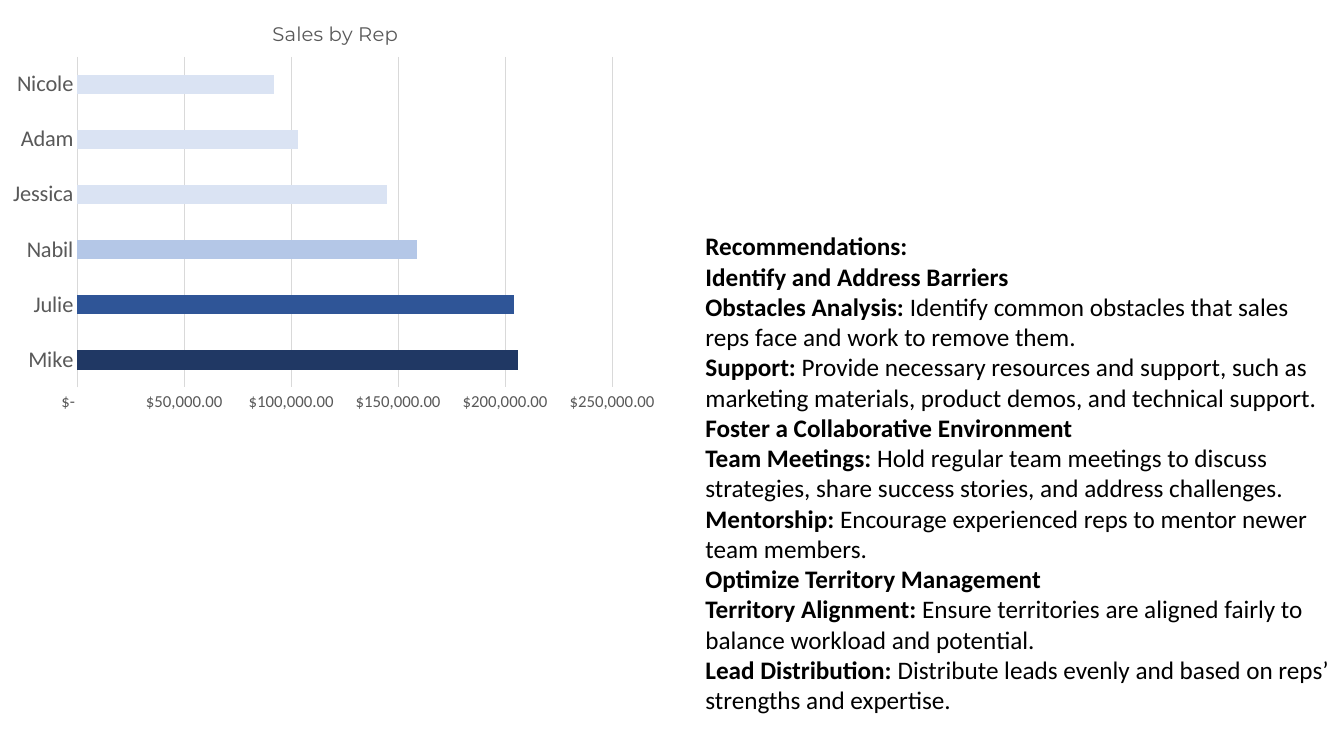
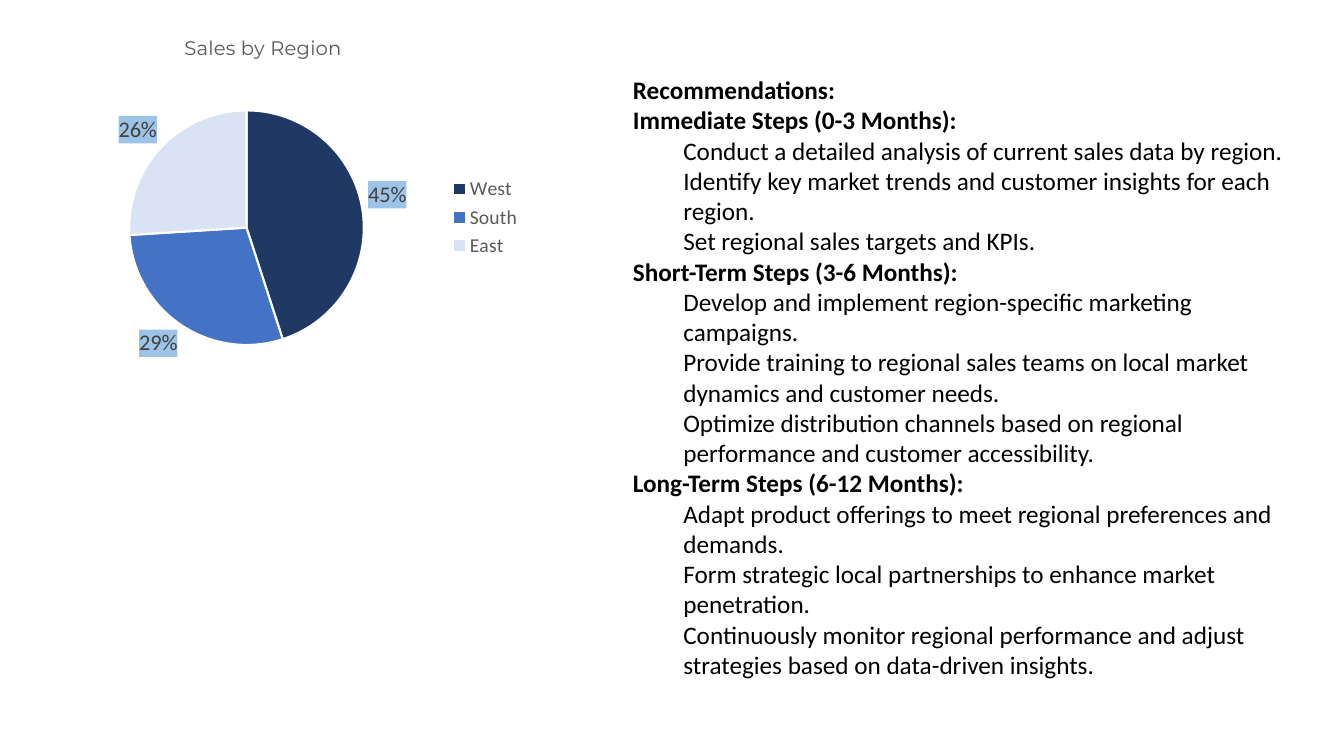
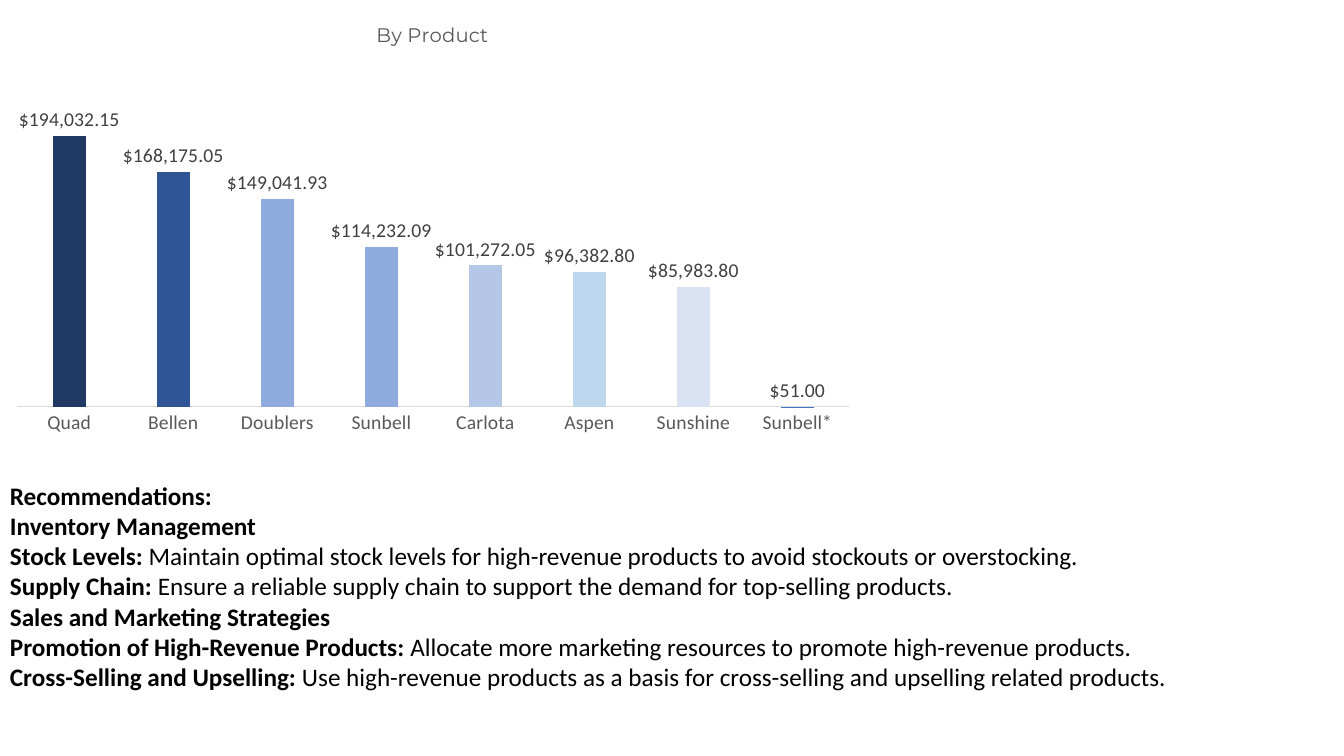
from lxml import etree
from pptx import Presentation
from pptx.chart.data import CategoryChartData
from pptx.dml.color import RGBColor
from pptx.enum.chart import XL_CHART_TYPE as CT, XL_LABEL_POSITION as LP
from pptx.enum.chart import XL_LEGEND_POSITION as LEGEND, XL_TICK_MARK as TICK
from pptx.enum.text import MSO_AUTO_SIZE
from pptx.oxml import parse_xml
from pptx.oxml.ns import nsdecls, qn
from pptx.util import Pt

# Shared style
FONT, TITLE_FONT = "Calibri", "Montserrat"
BLACK, GREY, DARK, RULE, WHITE = "000000", "595959", "404040", "D9D9D9", "FFFFFF"
NAVY, DEEP, BLUE, MID = "203864", "2F5597", "4472C4", "8FAADC"
SOFT, SKY, PALE, HIGHLIGHT = "B4C7E7", "BDD7EE", "DAE3F3", "9DC3E6"
MONEY = ('_-[$$-409]* #,##0.00_ ;_-[$$-409]* \\-#,##0.00\\ ;'
         '_-[$$-409]* "-"??_ ;_-@_ ')

# Content: boxes are (left, top, width, height) in points; layouts are chart
# fractions; data rows are (category, value, colour); text rows are
# (level, bold part, plain part)
SLIDES = [
    dict(
        kind=CT.BAR_CLUSTERED, title="Sales by Rep", title_at=(0.4, 0.04),
        box=(0, 0, 480, 299.5), plot=(0.115, 0.136, 0.796, 0.788),
        gap=182, overlap=0, cat_size=16,
        data=[("Mike", 206000, NAVY), ("Julie", 204000, DEEP),
              ("Nabil", 159000, SOFT), ("Jessica", 145000, PALE),
              ("Adam", 103000, PALE), ("Nicole", 92000, PALE)],
        text_box=(496.8, 161.3, 463, 378),
        text=[
            (0, "Recommendations:", ""),
            (0, "Identify and Address Barriers", ""),
            (0, "Obstacles Analysis:", " Identify common obstacles that sales reps face and work to remove them."),
            (0, "Support:", " Provide necessary resources and support, such as marketing materials, product demos, and technical support."),
            (0, "Foster a Collaborative Environment", ""),
            (0, "Team Meetings:", " Hold regular team meetings to discuss strategies, share success stories, and address challenges."),
            (0, "Mentorship:", " Encourage experienced reps to mentor newer team members."),
            (0, "Optimize Territory Management", ""),
            (0, "Territory Alignment:", " Ensure territories are aligned fairly to balance workload and potential."),
            (0, "Lead Distribution:", " Distribute leads evenly and based on reps’ strengths and expertise."),
        ]),
    dict(
        kind=CT.PIE, title="Sales by Region", title_at=(0.34, 0.03),
        box=(0, 13.7, 380, 283), plot=(0.243, 0.159, 0.441, 0.735),
        data=[("West", 45, NAVY), ("South", 29, BLUE), ("East", 26, PALE)],
        text_box=(445, 49.7, 478.8, 465),
        text=[
            (0, "Recommendations:", ""),
            (0, "Immediate Steps (0-3 Months):", ""),
            (1, "", "Conduct a detailed analysis of current sales data by region."),
            (1, "", "Identify key market trends and customer insights for each region."),
            (1, "", "Set regional sales targets and KPIs."),
            (0, "Short-Term Steps (3-6 Months):", ""),
            (1, "", "Develop and implement region-specific marketing campaigns."),
            (1, "", "Provide training to regional sales teams on local market dynamics and customer needs."),
            (1, "", "Optimize distribution channels based on regional performance and customer accessibility."),
            (0, "Long-Term Steps (6-12 Months):", ""),
            (1, "", "Adapt product offerings to meet regional preferences and demands."),
            (1, "", "Form strategic local partnerships to enhance market penetration."),
            (1, "", "Continuously monitor regional performance and adjust strategies based on data-driven insights."),
        ]),
    dict(
        kind=CT.COLUMN_CLUSTERED, title="By Product", title_at=(0.43, 0.04),
        box=(0, 0, 619.2, 317.5), plot=(0.02, 0.13, 0.96, 0.785),
        gap=219, overlap=-27, cat_size=14,
        data=[("Quad", 194032.15, NAVY), ("Bellen", 168175.05, DEEP),
              ("Doublers", 149041.93, MID), ("Sunbell", 114232.09, MID),
              ("Carlota", 101272.05, SOFT), ("Aspen", 96382.8, SKY),
              ("Sunshine", 85983.8, PALE), ("Sunbell*", 51, BLUE)],
        text_box=(0, 339.3, 883.4, 182),
        text=[
            (0, "Recommendations:", ""),
            (0, "Inventory Management", ""),
            (0, "Stock Levels:", " Maintain optimal stock levels for high-revenue products to avoid stockouts or overstocking."),
            (0, "Supply Chain:", " Ensure a reliable supply chain to support the demand for top-selling products."),
            (0, "Sales and Marketing Strategies", ""),
            (0, "Promotion of High-Revenue Products:", " Allocate more marketing resources to promote high-revenue products."),
            (0, "Cross-Selling and Upselling:", " Use high-revenue products as a basis for cross-selling and upselling related products."),
        ]),
]


def rgb(color):
    return RGBColor.from_string(color)


def set_font(font, size, color, name=FONT):
    font.size, font.name, font.color.rgb = Pt(size), name, rgb(color)


def set_line(line, color, width=0.75):
    line.color.rgb, line.width = rgb(color), Pt(width)


def set_layout(parent, index, values, inner=False):
    """Place a chart title (x, y) or a plot area (x, y, w, h)."""
    for old in parent.findall(qn("c:layout")):
        parent.remove(old)
    layout = etree.Element(qn("c:layout"))
    manual = etree.SubElement(layout, qn("c:manualLayout"))
    parts = [("layoutTarget", "inner")] if inner else []
    parts += [("xMode", "edge"), ("yMode", "edge")]
    parts += zip("xywh", values)
    for tag, value in parts:
        etree.SubElement(manual, qn("c:" + tag)).set("val", str(value))
    parent.insert(index, layout)


def style_axes(chart, item):
    cat, val = chart.category_axis, chart.value_axis
    cat.major_tick_mark = val.major_tick_mark = TICK.NONE
    set_font(cat.tick_labels.font, item["cat_size"], GREY)
    set_line(cat.format.line, RULE)
    val.minimum_scale, val.maximum_scale, val.major_unit = 0, 250000, 50000
    is_bar = item["kind"] == CT.BAR_CLUSTERED
    val.visible = val.has_major_gridlines = is_bar
    if is_bar:
        set_font(val.tick_labels.font, 12, GREY)
        val.tick_labels.number_format = MONEY
        val.tick_labels.number_format_is_linked = False
        val.format.line.fill.background()
        set_line(val.major_gridlines.format.line, RULE)
    plot = chart.plots[0]
    plot.gap_width, plot.overlap = item["gap"], item["overlap"]


def add_labels(plot, size, number_format, percent=False):
    plot.has_data_labels = True
    labels = plot.data_labels
    labels.show_value, labels.show_percentage = not percent, percent
    labels.number_format, labels.number_format_is_linked = number_format, False
    labels.position = LP.OUTSIDE_END
    set_font(labels.font, size, DARK)


def style_pie(chart):
    chart.has_legend = True
    chart.legend.position = LEGEND.RIGHT
    chart.legend.include_in_layout = False
    set_font(chart.legend.font, 14, GREY)
    add_labels(chart.plots[0], 16, "0%", percent=True)
    # Label background
    chart.element.xpath(".//c:dLbls/c:txPr")[0].addprevious(parse_xml(
        f'<c:spPr {nsdecls("c", "a")}><a:solidFill>'
        f'<a:srgbClr val="{HIGHLIGHT}"/></a:solidFill></c:spPr>'))


def add_chart(s, item):
    names, values, colors = zip(*item["data"])
    data = CategoryChartData()
    data.categories = names
    data.add_series("Series 1", values)
    chart = s.shapes.add_chart(item["kind"], *map(Pt, item["box"]), data).chart
    set_font(chart.font, 10, BLACK)
    is_pie = item["kind"] == CT.PIE
    chart.has_legend = False

    # Title
    chart.has_title = True
    tf = chart.chart_title.text_frame
    tf.text = item["title"]
    font = tf.paragraphs[0].font
    set_font(font, 14, GREY, TITLE_FONT)
    font.bold = False
    chart.chart_title.include_in_layout = False
    set_layout(chart.element.xpath("c:chart/c:title")[0], 1, item["title_at"])
    set_layout(chart.element.xpath("c:chart/c:plotArea")[0], 0, item["plot"], True)

    # Plot
    plot = chart.plots[0]
    plot.vary_by_categories = is_pie
    for i, color in enumerate(colors):
        fmt = plot.series[0].points[i].format
        fmt.fill.solid()
        fmt.fill.fore_color.rgb = rgb(color)
        if is_pie:
            set_line(fmt.line, WHITE, 1.5)
    if is_pie:
        style_pie(chart)
    else:
        style_axes(chart, item)
    if item["kind"] == CT.COLUMN_CLUSTERED:
        add_labels(plot, 14, MONEY)


def add_text(s, box, rows):
    tf = s.shapes.add_textbox(*map(Pt, box)).text_frame
    tf.word_wrap, tf.auto_size = True, MSO_AUTO_SIZE.SHAPE_TO_FIT_TEXT
    for i, (level, bold, plain) in enumerate(rows):
        p = tf.add_paragraph() if i else tf.paragraphs[0]
        set_font(p.font, 18, BLACK)
        if level:
            p.level = level
            pPr = p._p.get_or_add_pPr()
            pPr.set("marL", str(Pt(36)))
            pPr.set("indent", "0")
        for text, is_bold in ((bold, True), (plain, False)):
            if text:
                r = p.add_run()
                r.text, r.font.bold = text, is_bold


def main():
    prs = Presentation()
    prs.slide_width, prs.slide_height = Pt(960), Pt(540)
    for item in SLIDES:
        s = prs.slides.add_slide(prs.slide_layouts[6])
        add_chart(s, item)
        add_text(s, item["text_box"], item["text"])
    prs.save("out.pptx")


if __name__ == "__main__":
    main()
